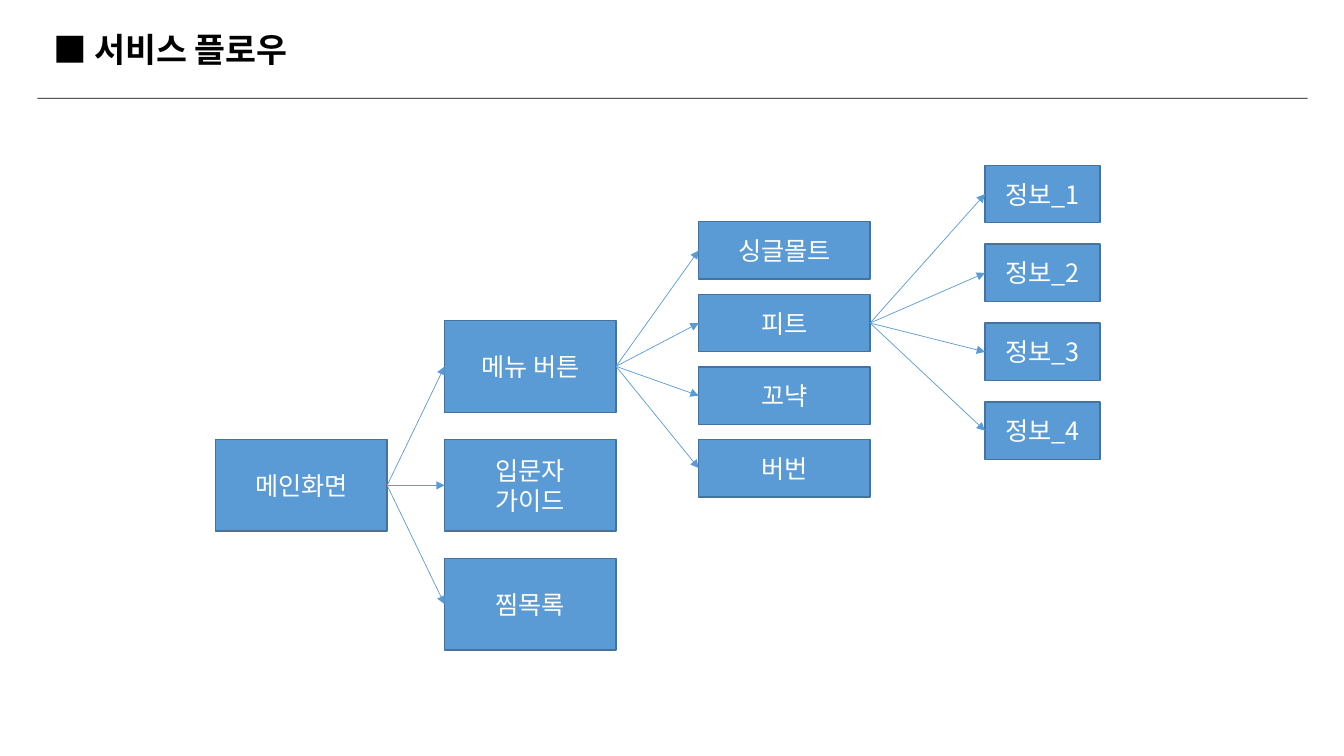
from lxml import etree
from pptx import Presentation
from pptx.dml.color import RGBColor
from pptx.enum.shapes import MSO_CONNECTOR, MSO_SHAPE
from pptx.enum.text import MSO_ANCHOR, MSO_AUTO_SIZE, PP_ALIGN
from pptx.oxml.ns import qn
from pptx.util import Inches, Pt

RECTANGLE = MSO_SHAPE.RECTANGLE
STRAIGHT = MSO_CONNECTOR.STRAIGHT
MIDDLE = MSO_ANCHOR.MIDDLE
GROW = MSO_AUTO_SIZE.SHAPE_TO_FIT_TEXT
LEFT, CENTER = PP_ALIGN.LEFT, PP_ALIGN.CENTER
LEFT_SIDE, RIGHT_SIDE = 1, 3

BLACK = RGBColor(0x00, 0x00, 0x00)
WHITE = RGBColor(0xFF, 0xFF, 0xFF)
BLUE = RGBColor(0x5B, 0x9B, 0xD5)
BORDER = RGBColor(0x43, 0x73, 0x9E)

FONT = "Noto Sans CJK KR"
CELL = Inches(0.1)


def cells(*counts):
    return [round(count * CELL) for count in counts]


def write_text(text_frame, text, size=18, color=WHITE, bold=False, align=CENTER):
    for index, line in enumerate(text.split("\n")):
        paragraph = text_frame.paragraphs[0] if index == 0 else text_frame.add_paragraph()
        paragraph.alignment = align
        run = paragraph.add_run()
        run.text = line
        run.font.size = Pt(size)
        run.font.bold = bold
        run.font.color.rgb = color
        run.font.name = FONT
        properties = run.font._element if hasattr(run.font, "_element") else run._r.get_or_add_rPr()
        etree.SubElement(properties, qn("a:ea"), typeface=FONT)


class FlowSlide:
    def __init__(self, presentation):
        self.slide = presentation.slides.add_slide(presentation.slide_layouts[6])
        self.shapes = self.slide.shapes

    def title(self, text, left, top, width, height):
        shape = self.shapes.add_textbox(*cells(left, top, width, height))
        shape.text_frame.word_wrap = False
        shape.text_frame.auto_size = GROW
        write_text(shape.text_frame, text, size=24, color=BLACK, bold=True, align=LEFT)

    def rectangle(self, left, top, width, height, fill, border=None):
        shape = self.shapes.add_shape(RECTANGLE, *cells(left, top, width, height))
        shape.shadow.inherit = False
        shape.fill.solid()
        shape.fill.fore_color.rgb = fill
        if border is None:
            shape.line.fill.background()
        else:
            shape.line.color.rgb = border
            shape.line.width = Pt(1)
        return shape

    def step(self, text, left, top, width, height):
        shape = self.rectangle(left, top, width, height, BLUE, BORDER)
        shape.text_frame.word_wrap = True
        shape.text_frame.vertical_anchor = MIDDLE
        write_text(shape.text_frame, text)
        return shape

    def stack(self, labels, left, top, width, height, pitch):
        return [
            self.step(label, left, top + index * pitch, width, height)
            for index, label in enumerate(labels)
        ]

    def arrow(self, source, target):
        connector = self.shapes.add_connector(STRAIGHT, 0, 0, 0, 0)
        connector.begin_connect(source, RIGHT_SIDE)
        connector.end_connect(target, LEFT_SIDE)
        connector.line.color.rgb = BLUE
        connector.line.width = Pt(0.5)
        etree.SubElement(connector.line._get_or_add_ln(), qn("a:tailEnd"), type="triangle")
        etree.SubElement(connector._element.spPr, qn("a:effectLst"))

    def fan_out(self, source, targets):
        for target in targets:
            self.arrow(source, target)


def main():
    presentation = Presentation()
    presentation.slide_width = Inches(13.33)
    presentation.slide_height = Inches(7.5)

    flow = FlowSlide(presentation)
    flow.rectangle(3.7, 9.7, 126, 0.1, BLACK)
    flow.title("■ 서비스 플로우", 4.3, 2.4, 28, 5)

    home = flow.step("메인화면", 21.4, 43.6, 17, 9.1)
    menus = flow.stack(["메뉴 버튼", "입문자\n가이드", "찜목록"], 44.1, 31.8, 17, 9.1, 11.8)
    drinks = flow.stack(["싱글몰트", "피트", "꼬냑", "버번"], 69.3, 22, 17, 5.7, 7.2)
    details = flow.stack([f"정보_{number}" for number in range(1, 5)], 97.7, 16.4, 11.4, 5.7, 7.83)

    flow.fan_out(home, menus)
    flow.fan_out(menus[0], drinks)
    flow.fan_out(drinks[1], details)

    presentation.save("out.pptx")


if __name__ == "__main__":
    main()
